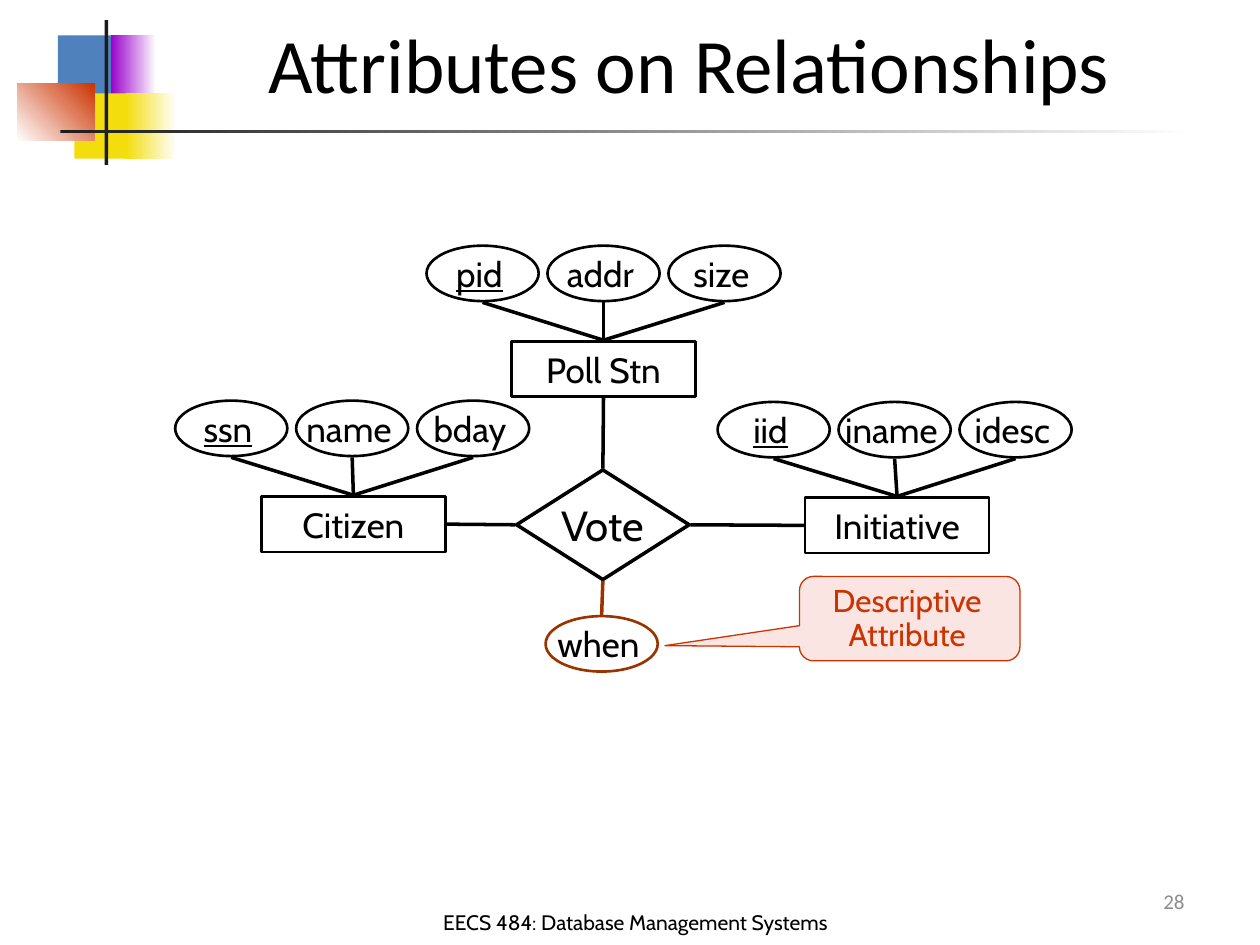
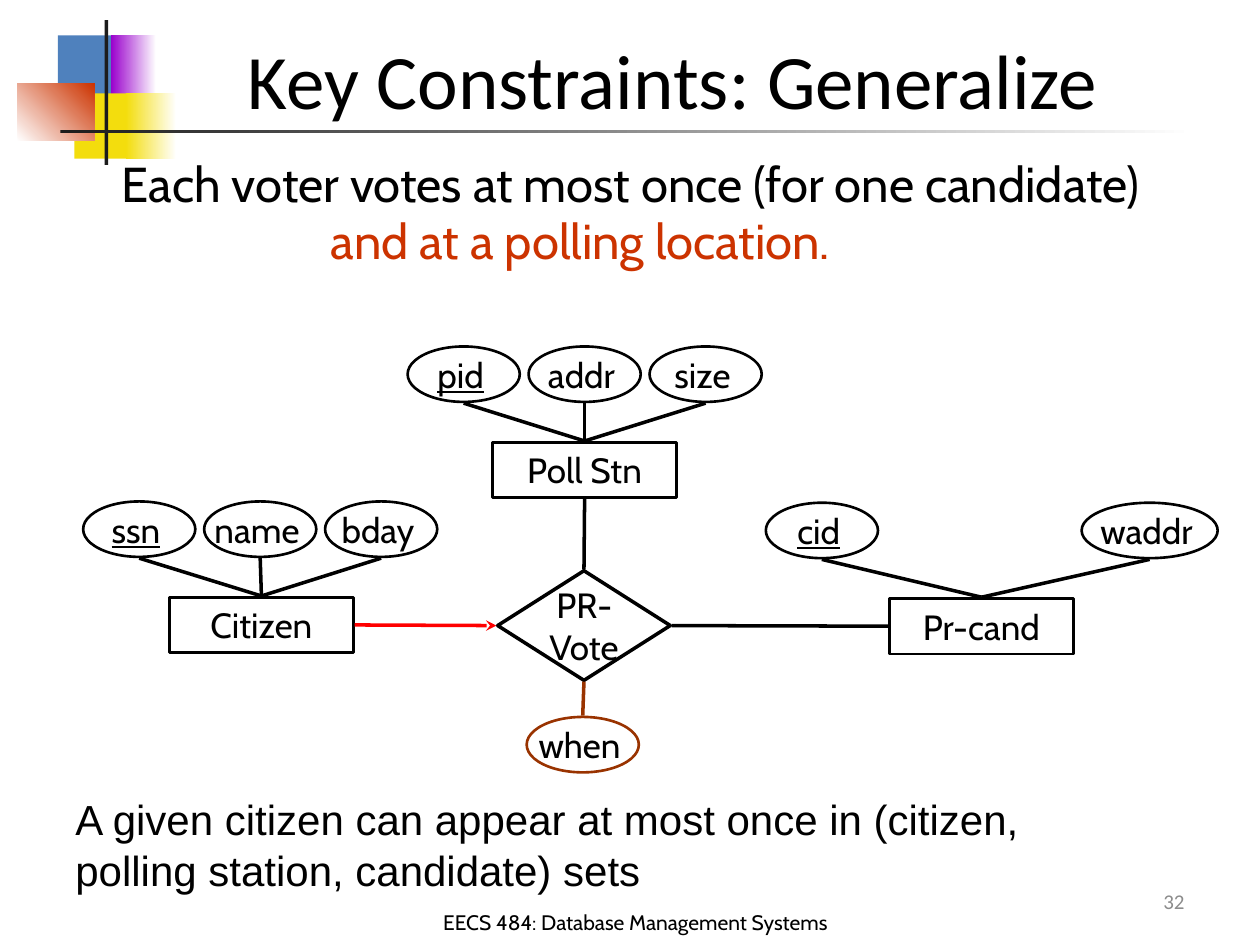
import pptx
import pptx.dml.color
import pptx.enum.shapes
import pptx.enum.text
import pptx.oxml.ns
import pptx.util
from lxml import etree

# Content: boxes are (name, centre x, top y, shift of the ovals, ovals),
# ovals are (name, column, width); columns count from the box's centre
OVAL, TALL = 0.89, 0.44
KEYS = ("pid", "ssn", "iid", "cid")
POLL = [("pid", -1, OVAL), ("addr", 0, OVAL), ("size", 1, OVAL)]
VOTER = [("ssn", -1, OVAL), ("name", 0, OVAL), ("bday", 1, OVAL)]
ISSUE = [("iid", -1, OVAL), ("iname", 0, OVAL), ("idesc", 1, OVAL)]
RUNNER = [("cid", -1.32, OVAL), ("waddr", 1.39, 1.08)]

SLIDES = [
    {
        "title": ("Attributes on Relationships", 1.22, 1.0),
        "number": "28",
        "vote": ("Vote", 24, 4.785, 4.165),
        "top": ("Poll Stn", 4.79, 2.71, 0, POLL),
        "left": ("Citizen", 2.805, 3.94, -0.01, VOTER),
        "right": ("Initiative", 7.12, 3.95, -0.02, ISSUE),
        "arrow": False,
        "callout": "Descriptive Attribute",
        "texts": [],
    },
    {
        "title": ("Key Constraints: Generalize", 1.09, 1.25),
        "number": "32",
        "vote": ("PR-Vote", 20, 4.635, 4.965),
        "top": ("Poll Stn", 4.64, 3.51, 0, POLL),
        "left": ("Citizen", 2.075, 4.74, -0.01, VOTER),
        "right": ("Pr-cand", 7.79, 4.75, 0, RUNNER),
        "arrow": True,
        "callout": None,
        "texts": [
            ("Each voter votes at most once (for one candidate)",
             (0, 1.22, 10, 0.58), 28, "Cabin", "black", "CENTER", 0),
            ("and at a polling location.",
             (0.59, 1.67, 8.03, 0.58), 28, "Cabin", "rust", "CENTER", 0),
            ("A given citizen can appear at most once in "
             "(citizen, polling station, candidate) sets",
             (0.5, 6.25, 8.25, 0.91), 24, "Arial", "black", "LEFT", 0.1),
        ],
    },
]
FOOTER = "EECS 484: Database Management Systems"

# Shared style
COLORS = {
    "black": "000000", "white": "FFFFFF", "gray": "8C8C8C", "ink": "1C1C1C",
    "blue": "4F81BD", "violet": "9900CC", "gold": "F3DD0D", "rust": "CC3300",
    "brown": "993300", "red": "FF0000", "pink": "F8CDC6",
}
DECOR = [  # place, colours from start to end, angle
    ((0.46, 0.28, 0.48, 0.52), ["blue"], 0),
    ((0.88, 0.28, 0.36, 0.52), ["violet", "white"], 0),
    ((0.59, 0.74, 0.46, 0.52), ["gold"], 0),
    ((1.0, 0.74, 0.4, 0.52), ["gold", "white"], 0),
    ((0.14, 0.66, 0.61, 0.46), ["white", "rust"], 45),
    ((0.83, 0.16, 0.03, 1.15), ["ink"], 0),
    ((0.48, 1.03, 9, 0.03), ["ink", "white"], 0),
]
PITCH, RISE = 0.96, 0.76       # oval columns, oval row above its box
BOX, WIDE, HIGH = 1.46, 1.37, 0.87
GAP = 0.01
KIND = pptx.enum.shapes.MSO_SHAPE
ALIGN = pptx.enum.text.PP_ALIGN
ANCHOR = pptx.enum.text.MSO_ANCHOR
inch = pptx.util.Inches
qn = pptx.oxml.ns.qn


def color(name):
    return pptx.dml.color.RGBColor.from_string(COLORS[name])


def write(shape, text, size, font="Cabin", tint="black", align="CENTER",
          anchor="MIDDLE", inset=(0, 0, 0, 0), wrap=True):
    frame = shape.text_frame
    frame.text = text
    frame.word_wrap = wrap
    frame.vertical_anchor = ANCHOR[anchor]
    (frame.margin_left, frame.margin_top,
     frame.margin_right, frame.margin_bottom) = map(inch, inset)
    para = frame.paragraphs[0]
    para.alignment = ALIGN[align]
    for run in para.runs:
        run.font.size = pptx.util.Pt(size)
        run.font.name = font
        run.font.color.rgb = color(tint)
    return para


def label(slide, place, *args, **style):
    box = slide.shapes.add_textbox(*map(inch, place))
    return write(box, *args, **style)


def outline(slide, kind, place, tint="black", width=1.5):
    shape = slide.shapes.add_shape(kind, *map(inch, place))
    shape.shadow.inherit = False
    shape.fill.background()
    shape.line.color.rgb = color(tint)
    shape.line.width = pptx.util.Pt(width)
    return shape


def join(slide, start, end, tint="black", arrow=False):
    line = slide.shapes.add_connector(
        pptx.enum.shapes.MSO_CONNECTOR.STRAIGHT, *map(inch, start + end))
    line.line.color.rgb = color(tint)
    line.line.width = pptx.util.Pt(2)
    props = line.element.spPr
    if arrow:
        etree.SubElement(props.find(qn("a:ln")), qn("a:tailEnd"), type="stealth")
    etree.SubElement(props, qn("a:effectLst"))


def decorate(slide):
    for place, tints, angle in DECOR:
        shape = slide.shapes.add_shape(KIND.RECTANGLE, *map(inch, place))
        shape.shadow.inherit = False
        shape.line.fill.background()
        if len(tints) == 1:
            shape.fill.solid()
            shape.fill.fore_color.rgb = color(tints[0])
            continue
        shape.fill.gradient()
        shape.fill.gradient_angle = angle
        for stop, tint, spot in zip(shape.fill.gradient_stops, tints, (0, 1)):
            stop.color.rgb = color(tint)
            stop.position = spot


def frame_slide(slide, title, number):
    text, left, high = title
    head = slide.shapes.title
    head.left, head.top, head.width, head.height = map(inch, (left, 0, 8.5, high))
    write(head, text, 44, "Calibri", inset=(0.1, 0.05, 0.1, 0.05))
    decorate(slide)
    label(slide, (7.17, 6.95, 2.33, 0.4), number, 12, "Calibri", "gray",
          align="RIGHT", inset=(0.1, 0.05, 0.1, 0.05))
    label(slide, (2.33, 7.11, 5.43, 0.31), FOOTER, 12, anchor="BOTTOM")


def oval(slide, name, mid, top, width=OVAL, tint="black"):
    shape = outline(slide, KIND.OVAL, (mid - width / 2, top, width, TALL), tint)
    para = write(shape, name, 20, inset=(0.04, 0.04, 0.09, 0.04), wrap=False)
    para.runs[0].font.underline = name in KEYS


def entity(slide, name, mid, top, shift, ovals):
    row = top - RISE
    for text, col, width in ovals:
        spot = mid + shift + col * PITCH
        oval(slide, text, spot, row, width)
        join(slide, (spot, row + TALL + GAP), (mid, top - GAP))
    box = outline(slide, KIND.RECTANGLE, (mid - BOX / 2, top, BOX, TALL))
    write(box, name, 20, wrap=False)


def callout(slide, text, x, y):
    place = (x + 1.56, y + 0.41, 1.75, 0.67)
    shape = outline(slide, KIND.ROUNDED_RECTANGULAR_CALLOUT, place, "rust", 0.75)
    shape.adjustments[0], shape.adjustments[1] = -1.11, 0.32
    shape.fill.solid()
    shape.fill.fore_color.rgb = color("pink")
    tone = shape.element.spPr.find(qn("a:solidFill"))[0]
    etree.SubElement(tone, qn("a:alpha"), val="50000")
    para = write(shape, text, 18, tint="rust", anchor="TOP",
                 inset=(0.04, 0.04, 0.08, 0))
    para.line_spacing = 0.9


def diagram(slide, data):
    for side in ("top", "left", "right"):
        entity(slide, *data[side])

    # Relationship and its own attribute
    name, size, x, y = data["vote"]
    gem = outline(slide, KIND.DIAMOND,
                  (x - WIDE / 2, y - HIGH / 2, WIDE, HIGH), width=2)
    write(gem, name, size, wrap="-" in name)
    low = y + HIGH / 2
    oval(slide, "when", x - 0.01, low + 0.29, tint="brown")
    join(slide, (x - 0.01, low + 0.28), (x, low + GAP), "brown")

    # Links from the boxes to the relationship
    top, left, right = data["top"], data["left"], data["right"]
    join(slide, (top[1], top[2] + TALL + GAP), (x, y - HIGH / 2 - GAP))
    join(slide, (left[1] + BOX / 2 + GAP, left[2] + TALL / 2),
         (x - WIDE / 2 - GAP, y), "red" if data["arrow"] else "black",
         data["arrow"])
    join(slide, (right[1] - BOX / 2 - GAP, right[2] + TALL / 2),
         (x + WIDE / 2 + GAP, y))
    if data["callout"]:
        callout(slide, data["callout"], x, y)


def main():
    deck = pptx.Presentation()
    deck.slide_width, deck.slide_height = inch(10), inch(7.5)
    for data in SLIDES:
        slide = deck.slides.add_slide(deck.slide_layouts[5])
        frame_slide(slide, data["title"], data["number"])
        diagram(slide, data)
        for text, place, size, font, tint, align, pad in data["texts"]:
            label(slide, place, text, size, font, tint, align, "TOP",
                  (pad, pad / 2, pad, pad / 2))
    deck.save("out.pptx")


if __name__ == "__main__":
    main()
